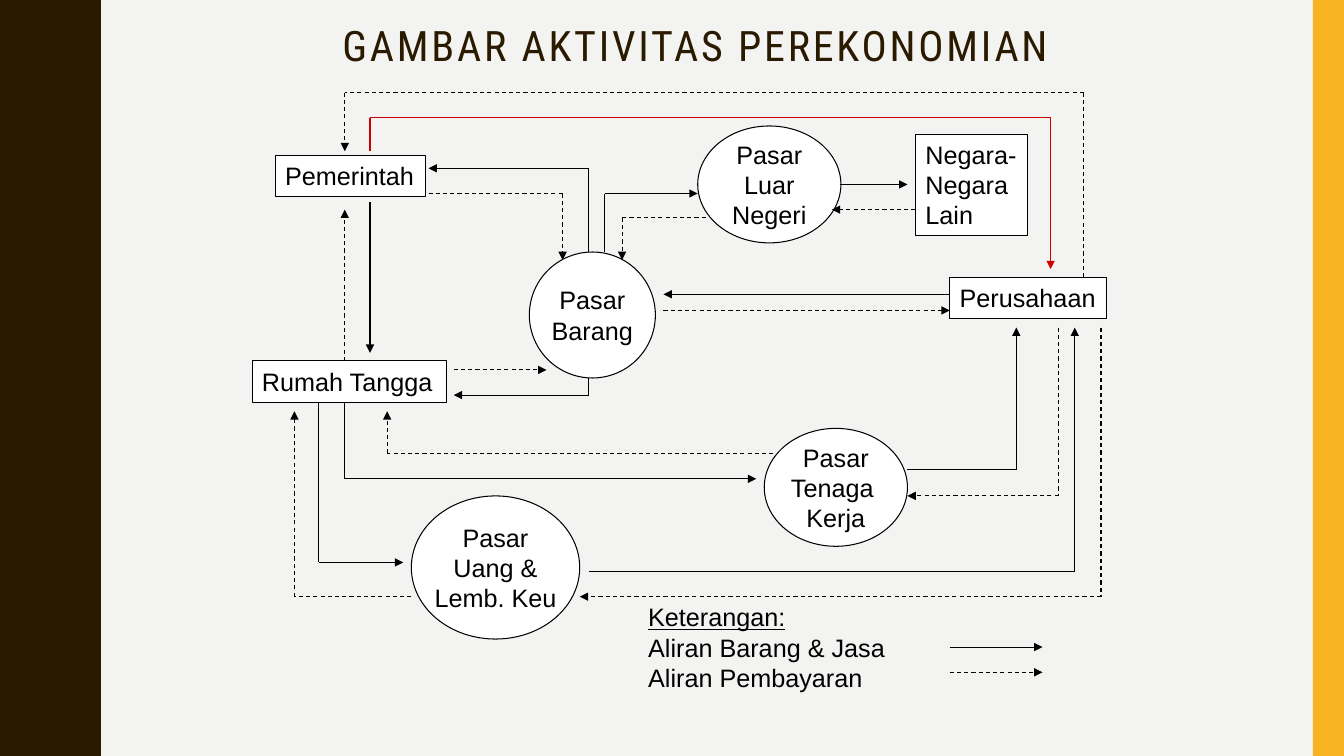
"""Build a slide showing the circular flow of economic activity."""
from dataclasses import dataclass
from itertools import pairwise
from typing import Any

from lxml.etree import SubElement
from pptx import Presentation
from pptx.dml.color import RGBColor
from pptx.enum.dml import MSO_LINE
from pptx.enum.shapes import MSO_CONNECTOR, MSO_SHAPE
from pptx.enum.text import MSO_ANCHOR, MSO_AUTO_SIZE, PP_ALIGN
from pptx.oxml.ns import qn
from pptx.util import Inches, Pt

BLACK, WHITE, RED = "000000", "FFFFFF", "CC0000"
BROWN, AMBER, PAPER = "2A1A00", "F8B323", "F3F3F2"
BODY_FONT = {"name": "Arial", "size": Pt(18)}
TITLE_FONT = {"name": "Roboto Condensed", "size": Pt(30)}
BOX_FRAME = {"word_wrap": False, "auto_size": MSO_AUTO_SIZE.SHAPE_TO_FIT_TEXT,
             "vertical_anchor": MSO_ANCHOR.TOP}
OVAL_FRAME = {"word_wrap": False, "auto_size": MSO_AUTO_SIZE.NONE,
              "vertical_anchor": MSO_ANCHOR.MIDDLE}
TITLE_FRAME = OVAL_FRAME | {"word_wrap": True}
LEFT_PARA = {"alignment": PP_ALIGN.LEFT}
CENTER_PARA = {"alignment": PP_ALIGN.CENTER}
TITLE_PARA = CENTER_PARA | {"line_spacing": 0.9}
WAVE_HEIGHT = 1.5
HALF_WAVE = [(0.78, 0), (0.78, 0.07), (0.79, 0.14), (0.8, 0.2), (0.81, 0.25), (0.93, 0.5),
             (0.95, 0.55), (0.96, 0.61), (0.97, 0.68), (0.97, 0.75)]


@dataclass
class Node:
    """An actor (box) or a market (oval)."""
    lines: list[str]
    left: float
    top: float
    width: float
    height: float
    oval: bool = False


@dataclass
class Flow:
    """A bent arrow through a list of points."""
    points: list[tuple[float, float]]
    dashed: bool = False
    color: str = BLACK


NODES = [
    Node(["Pemerintah"], 2.73, 1.54, 1.49, 0.41),
    Node(["Rumah Tangga"], 2.5, 3.58, 1.93, 0.41),
    Node(["Perusahaan"], 9.42, 2.75, 1.56, 0.41),
    Node(["Negara-", "Negara", "Lain"], 9.08, 1.33, 1.11, 1.01),
    Node(["Pasar", "Barang"], 5.25, 2.5, 1.25, 1.25, True),
    Node(["Pasar", "Uang &", "Lemb. Keu"], 4.08, 4.92, 1.67, 1.42, True),
    Node(["Pasar", "Tenaga ", "Kerja"], 7.58, 4.25, 1.42, 1.17, True),
    Node(["Pasar", "Luar", "Negeri"], 6.92, 1.25, 1.42, 1.16, True),
]
FLOWS = [
    Flow([(5.84, 3.75), (5.84, 3.92), (4.5, 3.92)]),
    Flow([(9.42, 2.92), (6.58, 2.92)]),
    Flow([(5.84, 2.5), (5.84, 1.67), (4.25, 1.67)]),
    Flow([(6, 2.5), (6, 1.92), (6.92, 1.92)]),
    Flow([(8.33, 1.83), (9, 1.83)]),
    Flow([(9, 4.66), (10.08, 4.66), (10.08, 3.25)]),
    Flow([(3.42, 4), (3.42, 4.75), (7.5, 4.75)]),
    Flow([(3.67, 2), (3.67, 3.5)]),
    Flow([(3.16, 4), (3.16, 5.58), (4, 5.58)]),
    Flow([(5.84, 5.67), (10.66, 5.67), (10.66, 3.25)]),
    Flow([(3.67, 1.5), (3.67, 1.17), (10.42, 1.17), (10.42, 2.67)], color=RED),
    Flow([(4.25, 1.92), (5.58, 1.92), (5.58, 2.58)], True),
    Flow([(7, 2.16), (6.17, 2.16), (6.17, 2.58)], True),
    Flow([(9.08, 2.08), (8.25, 2.08)], True),
    Flow([(6.58, 3.08), (9.42, 3.08)], True),
    Flow([(4.5, 3.67), (5.42, 3.67)], True),
    Flow([(10.5, 3.25), (10.5, 4.92), (9, 4.92)], True),
    Flow([(7.67, 4.5), (3.84, 4.5), (3.84, 4.08)], True),
    Flow([(3.42, 3.58), (3.42, 2.08)], True),
    Flow([(10.75, 2.75), (10.75, 0.92), (3.42, 0.92), (3.42, 1.5)], True),
    Flow([(4.08, 5.92), (2.92, 5.92), (2.92, 4.08)], True),
    Flow([(10.92, 3.25), (10.92, 5.92), (5.75, 5.92)], True),
    Flow([(9.42, 6.42), (10.34, 6.42)]),
    Flow([(9.42, 6.67), (10.34, 6.67)], True),
]


def apply_format(target: Any, values: dict[str, Any]) -> None:
    """Set each named attribute on the target."""
    for name, value in values.items():
        setattr(target, name, value)


def paint(target: Any, color: str) -> None:
    """Give a fill a solid colour."""
    target.solid()
    target.fore_color.rgb = RGBColor.from_string(color)


def write(shape: Any, lines: list[str], frame_format: dict[str, Any],
          para_format: dict[str, Any], font_format: dict[str, Any], color: str) -> None:
    """Write one formatted paragraph per line."""
    frame = shape.text_frame
    frame.text = "\n".join(lines)
    apply_format(frame, frame_format)
    for para in frame.paragraphs:
        apply_format(para, para_format)
        for span in para.runs:
            apply_format(span.font, font_format)
            paint(span.font.fill, color)


def draw_plain(shape: Any, color: str) -> None:
    """Fill a shape and drop its line and shadow."""
    shape.shadow.inherit = False
    paint(shape.fill, color)
    shape.line.fill.background()


def draw_borders(page: Any) -> None:
    """Draw the wavy left edge and the right stripe."""
    wave = HALF_WAVE + [(x, WAVE_HEIGHT - y) for x, y in HALF_WAVE[-2::-1]]
    edge = [(x, y + WAVE_HEIGHT * row) for row in range(5) for x, y in wave]
    builder = page.shapes.build_freeform(0, 0, scale=Inches(1))
    builder.add_line_segments(edge + [(0, 7.5)], close=True)
    draw_plain(builder.convert_to_shape(), BROWN)
    stripe = page.shapes.add_shape(MSO_SHAPE.RECTANGLE, Inches(13.02), 0,
                                   Inches(0.31), Inches(7.5))
    draw_plain(stripe, AMBER)


def draw_title(page: Any) -> None:
    """Place and format the title."""
    title = page.shapes.title
    apply_format(title, {"left": Inches(2.65), "top": Inches(0.17),
                         "width": Inches(8.5), "height": Inches(0.61)})
    write(title, ["GAMBAR AKTIVITAS PEREKONOMIAN"], TITLE_FRAME, TITLE_PARA, TITLE_FONT, BROWN)
    for span in title.text_frame.paragraphs[0].runs:
        span.font._element.set("spc", "200")


def draw_node(page: Any, node: Node) -> None:
    """Draw one actor or market."""
    kind = MSO_SHAPE.OVAL if node.oval else MSO_SHAPE.RECTANGLE
    box = page.shapes.add_shape(kind, Inches(node.left), Inches(node.top),
                                Inches(node.width), Inches(node.height))
    box.shadow.inherit = False
    paint(box.fill, WHITE)
    paint(box.line.fill, BLACK)
    box.line.width = Pt(0.75)
    frame_format, para_format = (OVAL_FRAME, CENTER_PARA) if node.oval else (BOX_FRAME, LEFT_PARA)
    write(box, node.lines, frame_format, para_format, BODY_FONT, BLACK)


def draw_flow(page: Any, flow: Flow) -> None:
    """Draw a flow segment by segment, with a head on the last."""
    for start, end in pairwise(flow.points):
        segment = page.shapes.add_connector(MSO_CONNECTOR.STRAIGHT, *map(Inches, start + end))
        paint(segment.line.fill, flow.color)
        segment.line.width = Pt(0.75)
        if flow.dashed:
            segment.line.dash_style = MSO_LINE.DASH
        if end == flow.points[-1]:
            SubElement(segment.line._get_or_add_ln(), qn("a:tailEnd"), type="triangle")
        SubElement(segment._element.spPr, qn("a:effectLst"))


def draw_legend(page: Any) -> None:
    """Write the legend with an underlined heading."""
    box = page.shapes.add_textbox(Inches(6.33), Inches(5.92), Inches(2.55), Inches(1))
    write(box, ["Keterangan:", "Aliran Barang & Jasa", "Aliran Pembayaran"],
          BOX_FRAME, LEFT_PARA, BODY_FONT, BLACK)
    box.text_frame.paragraphs[0].runs[0].font.underline = True


def main() -> None:
    """Build and save the deck."""
    deck = Presentation()
    apply_format(deck, {"slide_width": Inches(13.33), "slide_height": Inches(7.5)})
    page = deck.slides.add_slide(deck.slide_layouts.get_by_name("Title Only"))
    paint(page.background.fill, PAPER)
    draw_borders(page)
    draw_title(page)
    for node in NODES:
        draw_node(page, node)
    for flow in FLOWS:
        draw_flow(page, flow)
    draw_legend(page)
    deck.save("out.pptx")


if __name__ == "__main__":
    main()
